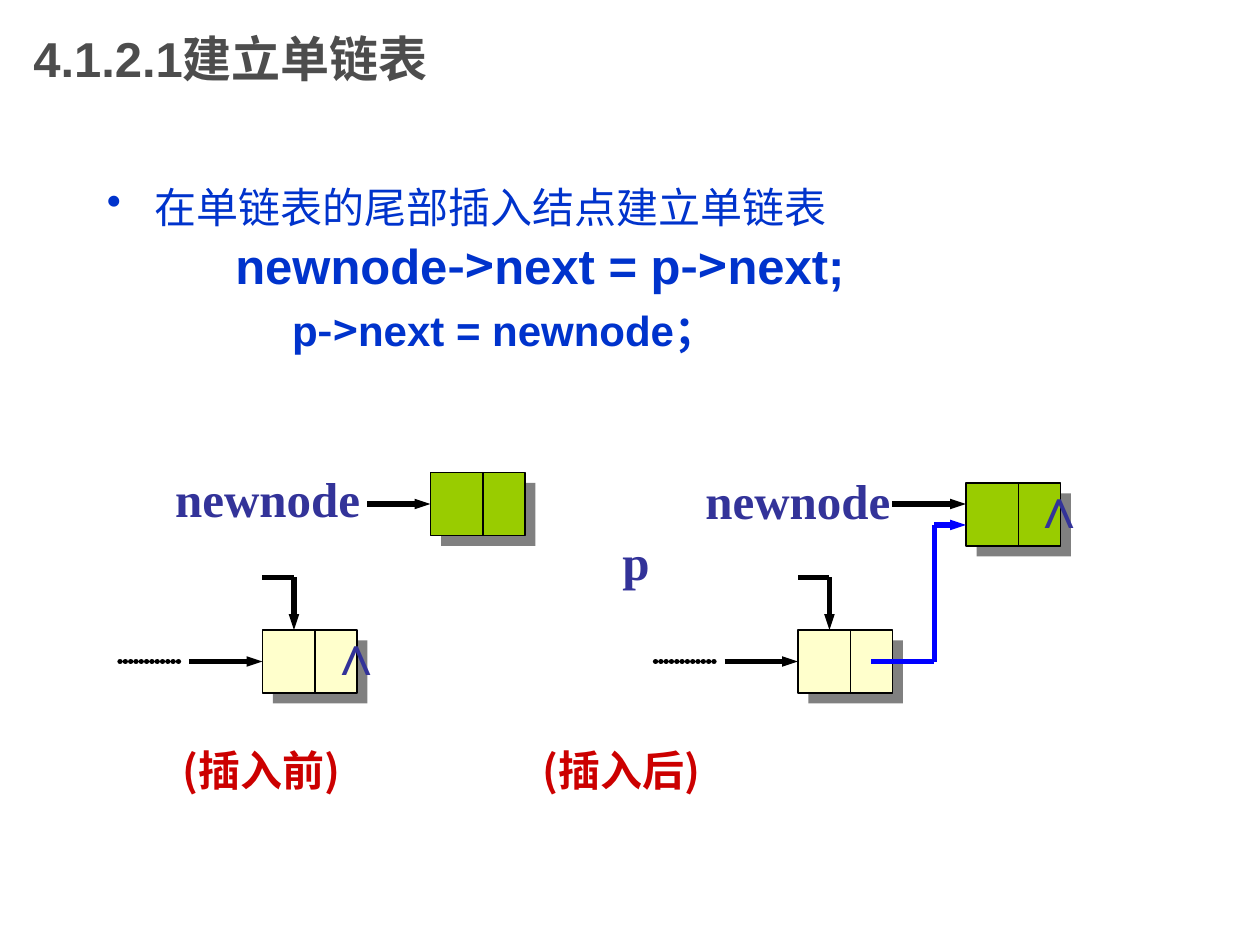
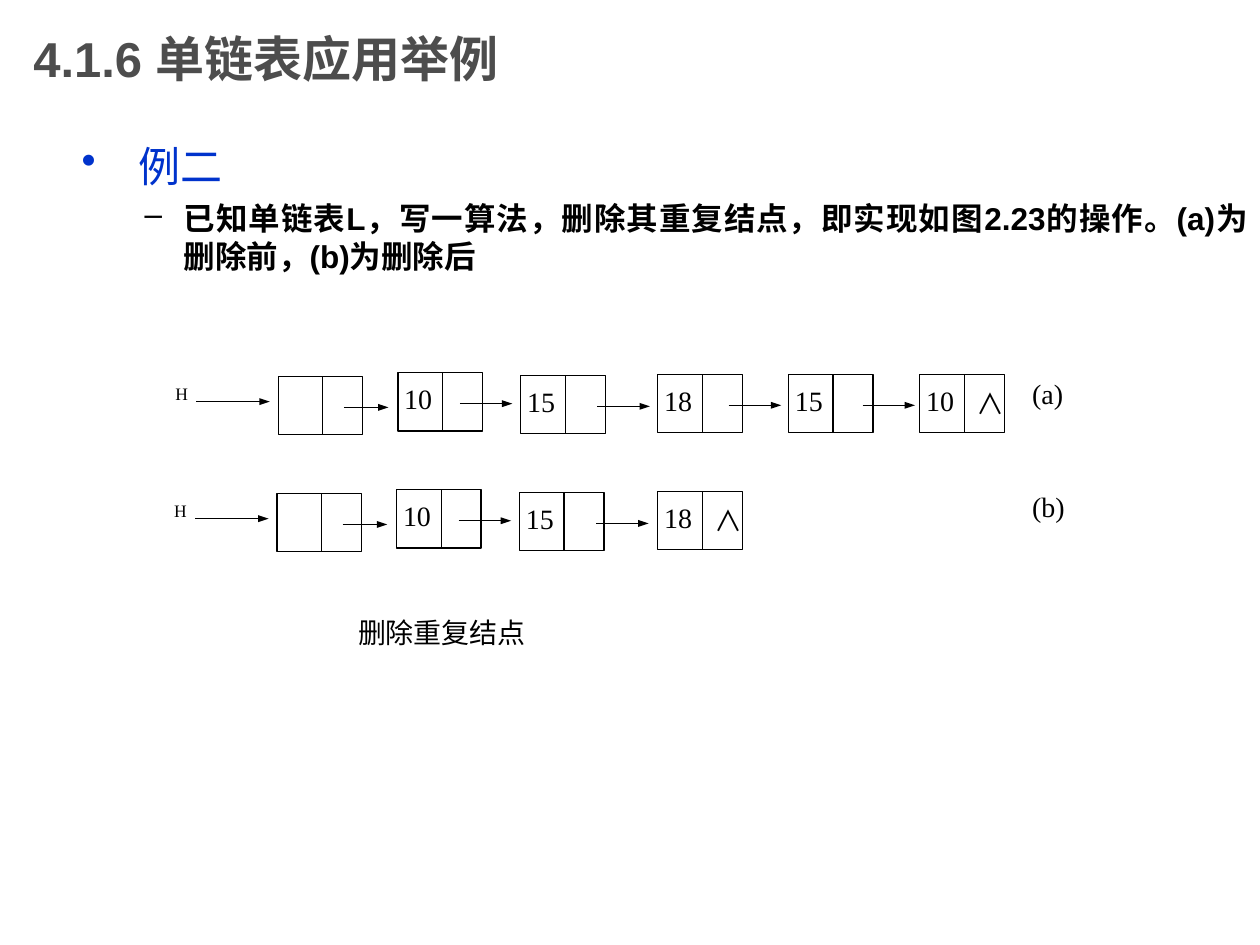
import pptx
import pptx.util
import pptx.dml.color
import pptx.enum.text
import pptx.enum.shapes
import pptx.oxml
import pptx.oxml.ns

deck = pptx.Presentation()
deck.slide_width = pptx.util.Inches(10)
deck.slide_height = pptx.util.Inches(7.5)
col = deck.slide_width / 120
row = deck.slide_height / 90
pt = pptx.util.Pt
qn = pptx.oxml.ns.qn
rect = pptx.enum.shapes.MSO_SHAPE.RECTANGLE
wire = pptx.enum.shapes.MSO_CONNECTOR.STRAIGHT
align = pptx.enum.text.PP_ALIGN
mid = pptx.enum.text.MSO_ANCHOR.MIDDLE
hue = pptx.dml.color.RGBColor.from_string
blank = deck.slide_layouts[6]
sans, serif, han = "Arial", "Times New Roman", "Noto Sans CJK SC"
ink, blue, navy, red, gray = "000000", "0033CC", "333399", "CC0000", "4D4D4D"


def write(page, spot, lines, pad=(0.1, 0.05), wrap=True, anchor=None):
    x, y, w, h = spot
    box = page.shapes.add_textbox(int(x * col), int(y * row), int(w * col), int(h * row))
    frame = box.text_frame
    side, edge = [pptx.util.Inches(n) for n in pad]
    form = dict(word_wrap=wrap, vertical_anchor=anchor, margin_left=side,
                margin_right=side, margin_top=edge, margin_bottom=edge)
    for key, val in form.items():
        setattr(frame, key, val)
    for i, line in enumerate(lines):
        para = frame.add_paragraph() if i else frame.paragraphs[0]
        left, hang = line.get("dent", (0, 0))
        prop = para._p.get_or_add_pPr()
        prop.set("marL", str(pptx.util.Inches(left)))
        prop.set("indent", str(pptx.util.Inches(hang)))
        para.alignment = line.get("align")
        if i:
            para.space_before = pt(line.get("gap", 0))
        if "mark" in line:
            prop.append(pptx.oxml.parse_xml(
                '<a:buChar xmlns:a="http://schemas.openxmlformats.org/drawingml/2006/main" '
                f'char="{line["mark"]}"/>'))
        for text, face in line["runs"]:
            run = para.add_run()
            run.text = text
            form = dict(size=pt(line["size"]), bold=line.get("bold", False), name=face)
            for key, val in form.items():
                setattr(run.font, key, val)
            run.font.color.rgb = hue(line["hue"])
            east = pptx.oxml.parse_xml(
                '<a:ea xmlns:a="http://schemas.openxmlformats.org/drawingml/2006/main" '
                f'typeface="{han}"/>')
            run.font._element.find(qn("a:latin")).addnext(east)


def draw(page, ends, tone=ink, width=0.75, head=False, dots=False, start=None, stop=None):
    x, y, u, v = ends
    line = page.shapes.add_connector(wire, int(x * col), int(y * row), int(u * col), int(v * row))
    if start:
        line.begin_connect(*start)
    if stop:
        line.end_connect(*stop)
    line.line.color.rgb = hue(tone)
    line.line.width = pt(width)
    prop = line._element.spPr
    stroke = prop.find(qn("a:ln"))
    if dots:
        stroke.set("cap", "rnd")
        dash = stroke.makeelement(qn("a:custDash"), {})
        dash.append(dash.makeelement(qn("a:ds"), {"d": "100000", "sp": "1000"}))
        stroke.append(dash)
    if head:
        stroke.append(stroke.makeelement(qn("a:tailEnd"), dict(type="triangle", w="sm", len="med")))
    prop.append(prop.makeelement(qn("a:effectLst"), {}))


pages = []
for title in ["4.1.2.1建立单链表", "4.1.6 单链表应用举例"]:
    page = deck.slides.add_slide(blank)
    page.background.fill.solid()
    page.background.fill.fore_color.rgb = hue("FFFFFF")
    write(page, (2, 0, 90, 11), [dict(runs=[(title, sans)], size=28, hue=gray, bold=True)], anchor=mid)
    pages.append(page)
build, prune = pages

write(build, (9, 16.7, 106.8, 18.8), [
    dict(runs=[("在单链表的尾部插入结点建立单链表", sans)], size=24, hue=blue, mark="•", dent=(0.38, -0.38)),
    dict(runs=[("newnode", sans), ("->", han), ("next = p", sans), ("->", han), ("next;", sans)],
         size=28, hue=blue, bold=True, dent=(1.02, 0), gap=1.8),
    dict(runs=[("p", sans), ("->", han), ("next = newnode；", sans)],
         size=24, hue=blue, bold=True, dent=(1.47, 0), gap=6)])

nodes = {}
for name, x, y, fill in [("old", 25, 60, "FFFFCC"), ("new", 41, 45, "99CC00"),
                         ("tail", 76, 60, "FFFFCC"), ("last", 92, 46, "99CC00")]:
    for shift, tone in [(1, "808080"), (0, fill)]:
        box = build.shapes.add_shape(rect, int((x + shift) * col), int((y + shift) * row),
                                     int(9 * col), int(6 * row))
        box.shadow.inherit = False
        box.fill.solid()
        box.fill.fore_color.rgb = hue(tone)
        if shift:
            box.line.fill.background()
        else:
            box.line.color.rgb = hue(ink)
            box.line.width = pt(0.75)
    nodes[name] = box
    draw(build, (x + 5, y, x + 5, y + 6))

for name, x in [("old", 25), ("tail", 76)]:
    draw(build, (x - 7, 63, x, 63), width=3, head=True, stop=(nodes[name], 1))
    draw(build, (x - 8, 63, x - 14, 63), width=3, dots=True)
    draw(build, (x + 3, 55, x + 3, 60), width=3, head=True)
    draw(build, (x + 3, 55, x, 55), width=3)
draw(build, (35, 48, 41, 48), width=3, head=True, stop=(nodes["new"], 1))
draw(build, (85, 48, 92, 48), width=3, head=True)
for ends, head in [((89, 50, 92, 50), True), ((89, 50, 89, 63), False), ((83, 63, 89, 63), False)]:
    draw(build, ends, "0000FF", 3, head)

for text, x, y, w, face, size, tone in [
        ("newnode", 15.5, 44, 20, serif, 28, navy), ("newnode", 66, 44.2, 20, serif, 28, navy),
        ("p", 58.1, 50, 5, serif, 28, navy), ("∧", 97.1, 44.4, 4.2, sans, 32, navy),
        ("∧", 30.1, 58.4, 4.2, sans, 32, navy),
        ("(插入前)", 16.2, 70.3, 18, han, 24, red), ("(插入后)", 50.5, 70.3, 18, han, 24, red)]:
    write(build, (x, y, w, 6.9), [dict(runs=[(text, face)], size=size, hue=tone, bold=True)], wrap=False)

write(prune, (6.6, 12.8, 113.4, 71), [
    dict(runs=[("例二", sans)], size=24, hue=blue, mark="•", dent=(0.45, -0.45), align=align.JUSTIFY),
    dict(runs=[("已知单链表L，写一算法，删除其重复结点，即实现如图2.23的操作。(a)为删除前，(b)为删除后", sans)],
         size=18, hue=ink, bold=True, mark="–", dent=(0.81, -0.31), gap=4.5, align=align.JUSTIFY)])

spots = [(26.5, 35.85), (37.9, 35.5), (49.6, 35.75), (62.65, 35.65), (75.1, 35.65), (87.6, 35.65)]
for tag, drop, shift, vals in [("(a)", 0, 0, ["", "10", "15", "18", "15", "10"]),
                               ("(b)", 11.15, -0.12, ["", "10", "15", "18"])]:
    labels = [("H", 16.7 + shift, 36.5 + drop, 10, serif),
              (tag, 98.3, 35.9 + drop * 0.96, 16, serif)]
    draw(prune, (18.7 + shift, 38.25 + drop, 25.7 + shift, 38.25 + drop), head=True)
    for i, ((x, y), val) in enumerate(zip(spots, vals)):
        last = i == len(vals) - 1
        x, y = x + (0 if last else shift), y + drop
        box = prune.shapes.add_shape(rect, int(x * col), int(y * row), int(8.05 * col), int(5.55 * row))
        box.shadow.inherit = False
        box.fill.solid()
        box.fill.fore_color.rgb = hue("FFFFFF")
        box.line.color.rgb = hue(ink)
        box.line.width = pt(0.75)
        draw(prune, (x + 4.25, y, x + 4.25, y + 5.55))
        if val:
            labels.append((val, x + 0.6, y + 0.85, 16, serif))
        if last:
            labels.append(("∧", x + 5.4, y + 1.2, 16, han))
        else:
            tip = x + (10.5 if i == 0 else 11) + (0.85 if i > 1 else 0)
            tip = [x + 10.5, x + 10.9, x + 12.3, x + 11.75, x + 12.05][i]
            draw(prune, (tip - (4.25 if i == 0 else 5), y + 2.95, tip, y + 2.95), head=True)
    for text, x, y, size, face in labels:
        write(prune, (x, y, 4, 4), [dict(runs=[(text, face)], size=size, hue=ink)], (0, 0), False)
write(prune, (34.1, 58.6, 20, 5.3), [dict(runs=[("删除重复结点", serif)], size=16, hue=ink)], (0, 0))

deck.save("out.pptx")
